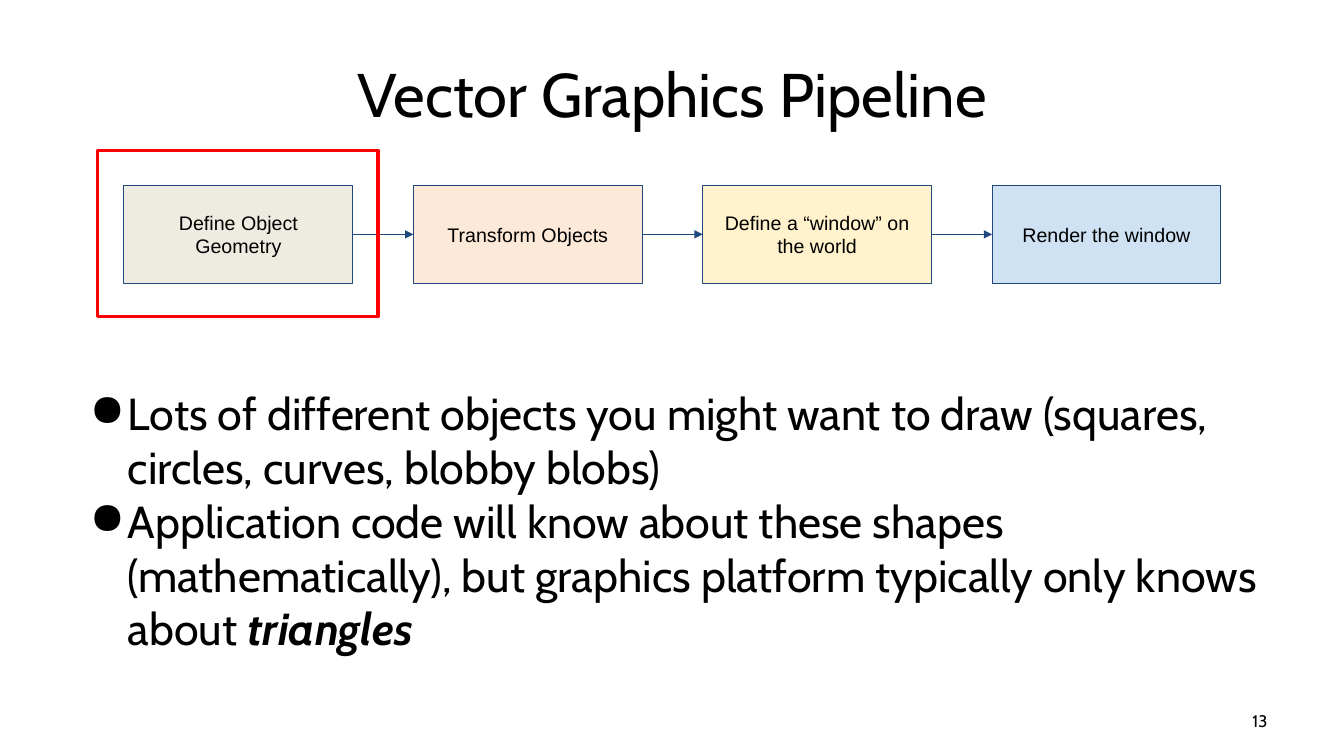
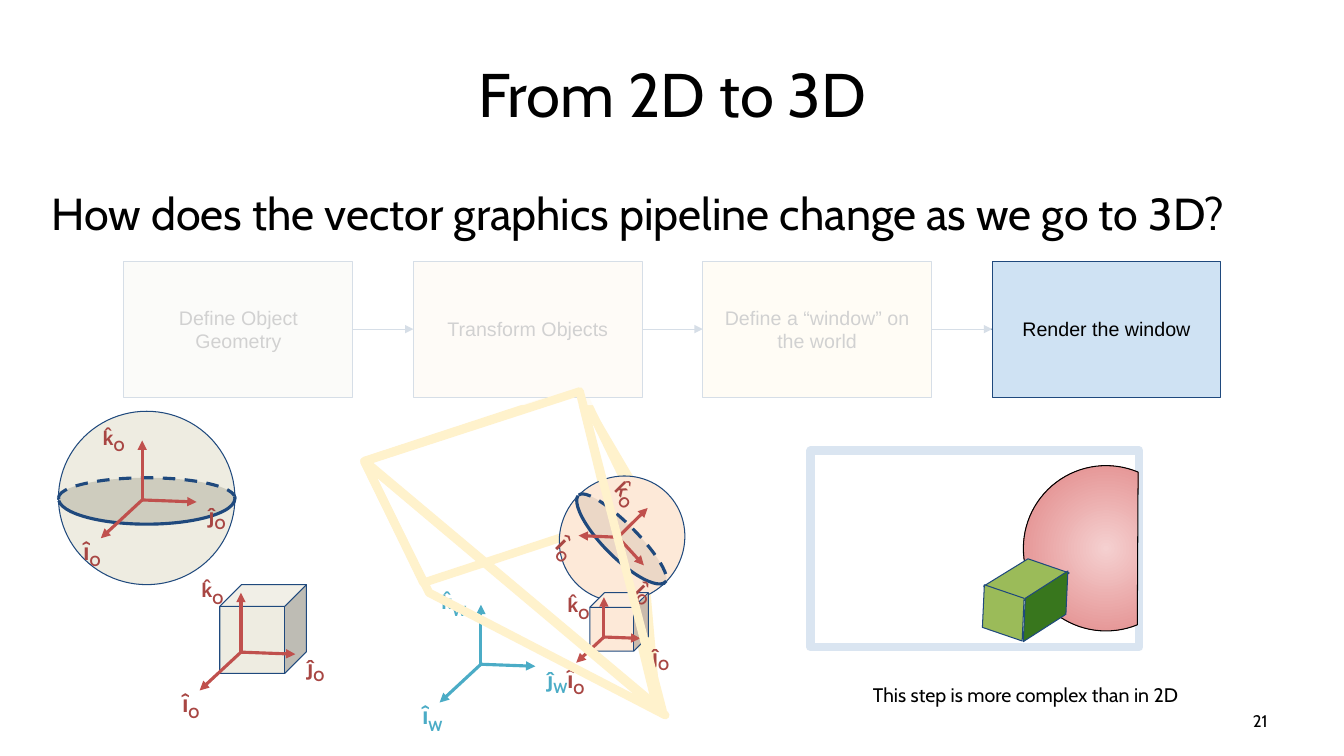
from math import cos, radians, sin

from lxml.etree import SubElement
from pptx import Presentation
from pptx.dml.color import RGBColor
from pptx.enum.dml import MSO_LINE_DASH_STYLE as Dash
from pptx.enum.shapes import MSO_CONNECTOR, MSO_SHAPE as Preset
from pptx.enum.text import MSO_ANCHOR as Anchor, MSO_AUTO_SIZE as AutoSize, PP_ALIGN as Align
from pptx.oxml.ns import qn
from pptx.util import Inches, Pt

COLORS = {
    "text": "000000", "outline": "1F497D", "highlight": "FF0000", "veil": "FFFFFF",
    "geometry": "EEECE1", "geometry dark": "CECCBE",
    "objects": "FDE9D8", "objects dark": "EBD7C6",
    "window": "FFF2CC", "render": "CFE2F3", "screen": "DAE5F1",
    "axis": "C0504D", "axis label": "A84643", "world": "4BACC6",
    "ball light": "F5D0D0", "ball dark": "D96868",
    "block": "9BBB59", "block dark": "38761D",
}
RGB = {name: RGBColor.from_string(value) for name, value in COLORS.items()}
BODY_FONT, BOX_FONT = "Cabin", "Arial"
WIDTH, HEIGHT = 13.33, 7.5


def draw(slide, preset, box, fill=None, line=None, weight=0.75, dash=None, rotation=0,
         flip=False, adjustments=(), paragraphs=(), font=BODY_FONT, size=14, color="text",
         align=Align.LEFT, anchor=Anchor.TOP, margin=0.1, grow=False, bullet=None):
    """Add a preset shape, or a text box when preset is None; a run is (text, font changes)."""
    frame = [Inches(length) for length in box]
    if preset is None:
        shape = slide.shapes.add_textbox(*frame)
    else:
        shape = slide.shapes.add_shape(preset, *frame)
        shape.shadow.inherit = False
        for index, value in enumerate(adjustments):
            shape.adjustments[index] = value
    shape.rotation = rotation
    if flip:
        shape.element.spPr.xfrm.set("flipH", "1")
    if fill:
        shape.fill.solid()
        shape.fill.fore_color.rgb = RGB[fill]
    else:
        shape.fill.background()
    if line:
        shape.line.color.rgb = RGB[line]
        shape.line.width = Pt(weight)
        if dash:
            shape.line.dash_style = dash
    else:
        shape.line.fill.background()

    if paragraphs:
        text_frame = shape.text_frame
        text_frame.word_wrap = True
        text_frame.vertical_anchor = anchor
        text_frame.margin_top = text_frame.margin_bottom = Inches(margin)
        if grow:
            text_frame.auto_size = AutoSize.SHAPE_TO_FIT_TEXT
        for index, runs in enumerate(paragraphs):
            paragraph = text_frame.add_paragraph() if index else text_frame.paragraphs[0]
            paragraph.alignment = align
            if bullet:
                properties = paragraph._p.get_or_add_pPr()
                properties.set("marL", str(Inches(0.5)))
                properties.set("indent", str(Inches(-0.38)))
                SubElement(properties, qn("a:buChar")).set("char", bullet)
            for text, changes in runs:
                run = paragraph.add_run()
                run.text = text
                run.font.name = changes.get("font", font)
                run.font.size = Pt(changes.get("size", size))
                run.font.bold = changes.get("bold")
                run.font.italic = changes.get("italic")
                run.font.color.rgb = RGB[color]
                if "baseline" in changes:
                    run._r.get_or_add_rPr().set("baseline", str(changes["baseline"]))
    return shape


def add_arrow(slide, start, end, color, weight):
    points = [Inches(length) for length in (*start, *end)]
    arrow = slide.shapes.add_connector(MSO_CONNECTOR.STRAIGHT, *points)
    arrow.line.color.rgb = RGB[color]
    arrow.line.width = Pt(weight)
    properties = arrow.element.spPr
    SubElement(properties.find(qn("a:ln")), qn("a:tailEnd")).set("type", "triangle")
    SubElement(properties, qn("a:effectLst"))


presentation = Presentation()
presentation.slide_width = Inches(WIDTH)
presentation.slide_height = Inches(HEIGHT)
title_only = presentation.slide_layouts[5]

# Content of the two slides
STEPS = [("Define Object Geometry", "geometry"), ("Transform Objects", "objects"),
         ("Define a “window” on the world", "window"), ("Render the window", "render")]
STEP_LEFT, STEP_WIDTH, STEP_PITCH = 1.23, 2.27, 2.87

SLIDES = [
    {"title": "Vector Graphics Pipeline", "number": "13",
     "body box": (0.67, 3.78, 12, 2.92), "bullet": "●",
     "body": [
         [("Lots of different objects you might want to draw "
           "(squares, circles, curves, blobby blobs)", {})],
         [("Application code will know about these shapes (mathematically), "
           "but graphics platform typically only knows about ", {}),
          ("triangles", {"bold": True, "italic": True})]],
     "pipeline top": 1.84, "pipeline height": 0.97, "behind": []},
    {"title": "From 2D to 3D", "number": "21",
     "body box": (0.41, 1.79, 12.52, 0.66), "bullet": None,
     "body": [[("How does the vector graphics pipeline change as we go to 3D?", {})]],
     "pipeline top": 2.59, "pipeline height": 1.35,
     "behind": [(Preset.PARALLELOGRAM, (3.76, 4.16, 2.44, 1.33), 341.8, 0.135),
                (Preset.ISOSCELES_TRIANGLE, (4.71, 5.26, 3.16, 0.32), 76.3, 0.663)]},
]

# Shared parts: title, body, page number and pipeline
slides = []
for content in SLIDES:
    slide = presentation.slides.add_slide(title_only)
    slides.append(slide)
    for preset, box, rotation, adjustment in content["behind"]:
        draw(slide, preset, box, line="window", weight=6, rotation=rotation, flip=True,
             adjustments=[adjustment])

    title = slide.shapes.title
    title.left, title.top = Inches(0.67), Inches(0.3)
    title.width, title.height = Inches(12), Inches(1.25)
    title.text_frame.vertical_anchor = Anchor.MIDDLE
    paragraph = title.text_frame.paragraphs[0]
    paragraph.alignment = Align.CENTER
    run = paragraph.add_run()
    run.text = content["title"]
    run.font.name = BODY_FONT
    run.font.size = Pt(44)
    run.font.color.rgb = RGB["text"]

    draw(slide, None, content["body box"], paragraphs=content["body"], size=32, margin=0.05,
         bullet=content["bullet"])
    draw(slide, None, (9.56, 6.95, 3.11, 0.4), paragraphs=[[(content["number"], {})]],
         size=12, align=Align.RIGHT, anchor=Anchor.MIDDLE, margin=0.05)

    top, height = content["pipeline top"], content["pipeline height"]
    middle = top + height / 2
    for column, (label, fill) in enumerate(STEPS):
        left = STEP_LEFT + column * STEP_PITCH
        draw(slide, Preset.RECTANGLE, (left, top, STEP_WIDTH, height), fill, "outline",
             paragraphs=[[(label, {})]], font=BOX_FONT, align=Align.CENTER,
             anchor=Anchor.MIDDLE)
        if column:
            add_arrow(slide, (left - STEP_PITCH + STEP_WIDTH, middle), (left, middle),
                      "outline", 0.75)

pipeline_slide, space_slide = slides

# Slide 1: highlight on the first step
draw(pipeline_slide, Preset.RECTANGLE, (0.97, 1.49, 2.78, 1.65), line="highlight", weight=2.25)

# Slide 2: spheres with an equator, and cubes
SPHERES = [
    ("geometry", 0, (0.58, 4.08, 1.75, 1.72), (0.58, 4.74, 1.75, 0.4), (0.58, 4.69, 1.75, 0.51)),
    ("objects", 45.3, (5.56, 4.71, 1.22, 1.27), (5.56, 5.2, 1.22, 0.29),
     (5.56, 5.15, 1.22, 0.38)),
]
for fill, rotation, ball, far_equator, near_equator in SPHERES:
    draw(space_slide, Preset.OVAL, ball, fill, "outline", rotation=rotation)
    draw(space_slide, Preset.OVAL, far_equator, fill + " dark", "outline", 2.25, Dash.DASH,
         rotation)
    draw(space_slide, Preset.ARC, near_equator, fill + " dark", "outline", 2.25,
         rotation=rotation, adjustments=[215.22, 107.12])
for fill, box in [("geometry", (2.18, 5.8, 0.86, 0.88)), ("objects", (5.85, 5.88, 0.58, 0.58))]:
    draw(space_slide, Preset.CUBE, box, fill, "outline")

# Axis frames: arrows are scaled and turned, labels are (dx, dy, width) from the origin
AXES = [("î", BODY_FONT, 18, (-0.41, 0.38)), ("ĵ", BODY_FONT, 14, (0.54, 0.02)),
        ("k̂", BOX_FONT, 14, (0, -0.59))]
FULL = [(-0.68, 0.25, 0.43), (0.56, -0.12, 0.54), (-0.49, -0.89, 0.51)]
SMALL = [(-0.46, 0.16, 0.47), (0.38, -0.08, 0.47), (-0.46, -0.59, 0.47)]
TURNED = [(-0.7, -0.12, 0.46), (0.11, 0.28, 0.38), (-0.13, -0.65, 0.57)]
FRAMES = [
    ((1.41, 4.96), 1, 0, "O", "axis", "axis label", FULL),
    ((4.77, 6.59), 1, 0, "W", "world", "world", FULL),
    ((6.13, 5.33), 0.7, 45.3, "O", "axis", "axis label", TURNED),
    ((2.39, 6.47), 1, 0, "O", "axis", "axis label", FULL),
    ((5.99, 6.32), 0.67, 0, "O", "axis", "axis label", SMALL),
]
for (x, y), scale, turn, subscript, arrow_color, label_color, spots in FRAMES:
    cosine, sine = scale * cos(radians(turn)), scale * sin(radians(turn))
    for (letter, font, size, (across, down)), (dx, dy, width) in zip(AXES, spots):
        tip = (x + across * cosine - down * sine, y + across * sine + down * cosine)
        add_arrow(space_slide, (x, y), tip, arrow_color, 2.25)
        runs = [(letter, {"font": font, "size": size, "bold": True}),
                (subscript, {"size": 18, "bold": True, "baseline": -25000})]
        draw(space_slide, None, (x + dx, y + dy, width, 0.5), rotation=turn,
             paragraphs=[runs], color=label_color, grow=True)

# View pyramid in front, and a veil over the first three steps
draw(space_slide, Preset.ISOSCELES_TRIANGLE, (2.97, 5.77, 3.9, 0.58), line="window", weight=6,
     rotation=220.1, adjustments=[0.66])
veil = draw(space_slide, Preset.RECTANGLE, (0.87, 2.43, 8.96, 1.59), "veil")
veil_color = veil.element.spPr.find(qn("a:solidFill")).find(qn("a:srgbClr"))
SubElement(veil_color, qn("a:alpha")).set("val", "82000")
draw(space_slide, Preset.ISOSCELES_TRIANGLE, (4.07, 4.15, 2.24, 3.27), line="window", weight=6,
     rotation=162, flip=True, adjustments=[0.912])

# Rendered view: screen, clipped ball and block
draw(space_slide, Preset.RECTANGLE, (8.04, 4.47, 3.26, 1.95), line="screen", weight=6)
ball = draw(space_slide, Preset.CHORD, (10.15, 4.62, 1.64, 1.64), line="text", rotation=22.8,
            adjustments=[27, 162])
ball.fill.gradient()
for stop, name in zip(ball.fill.gradient_stops, ("ball light", "ball dark")):
    stop.color.rgb = RGB[name]
gradient = ball.element.spPr.find(qn("a:gradFill"))
gradient.remove(gradient.find(qn("a:lin")))
radial = SubElement(gradient, qn("a:path"))
radial.set("path", "circle")
center = SubElement(radial, qn("a:fillToRect"))
for side in "ltrb":
    center.set(side, "50000")

BLOCK_FACES = [("block", (9.8, 5.55, 0.76, 0.4), 19, False, 0.82),
               ("block", (9.68, 5.88, 0.54, 0.4), 92.6, False, 0.291),
               ("block dark", (10.01, 5.81, 0.72, 0.41), 272.6, True, 0.707)]
for fill, box, rotation, flip, slant in BLOCK_FACES:
    draw(space_slide, Preset.PARALLELOGRAM, box, fill, "outline", rotation=rotation, flip=flip,
         adjustments=[slant])
draw(space_slide, None, (8.56, 6.68, 3.63, 0.44), grow=True,
     paragraphs=[[("This step is more complex than in 2D", {})]])

presentation.save("out.pptx")
